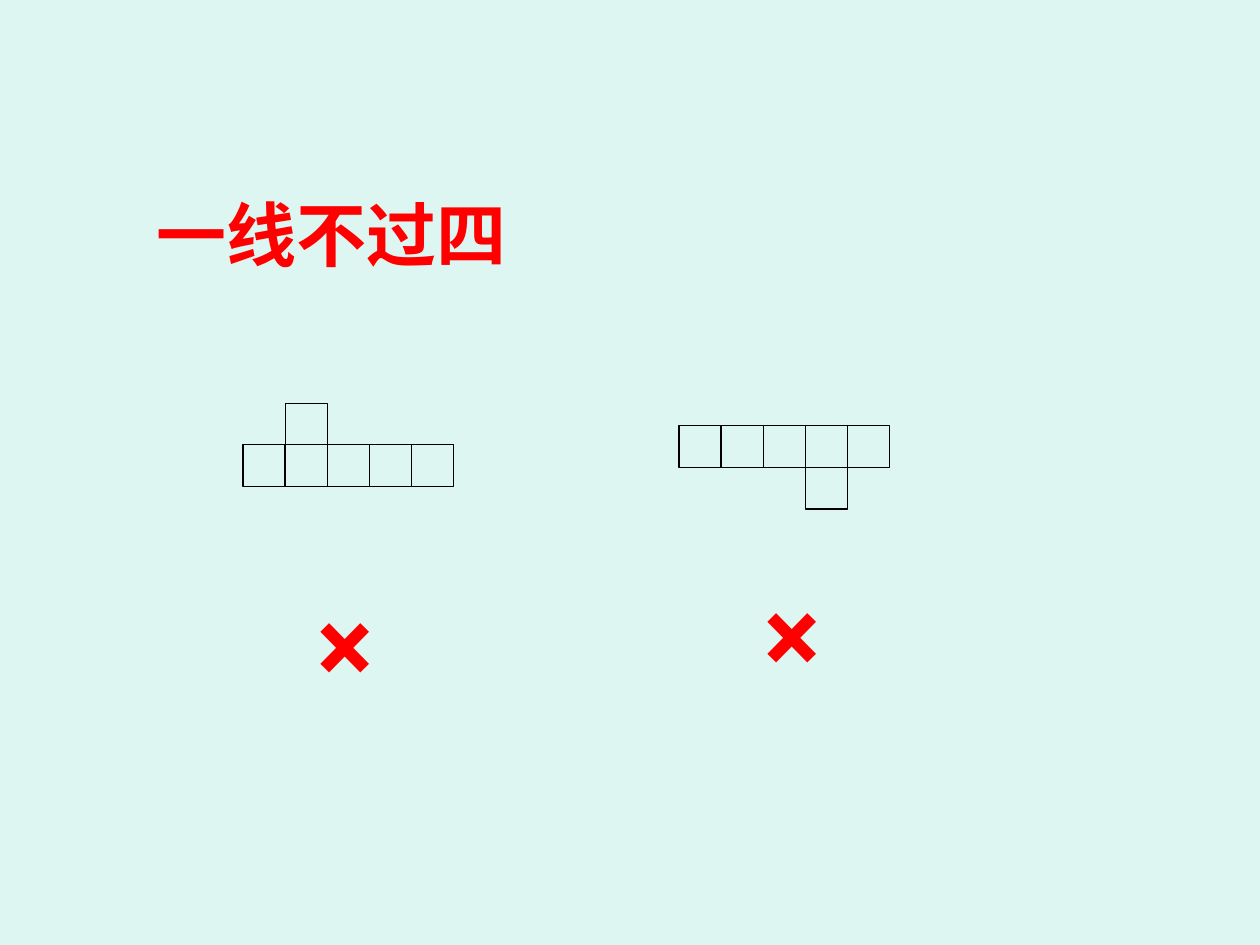
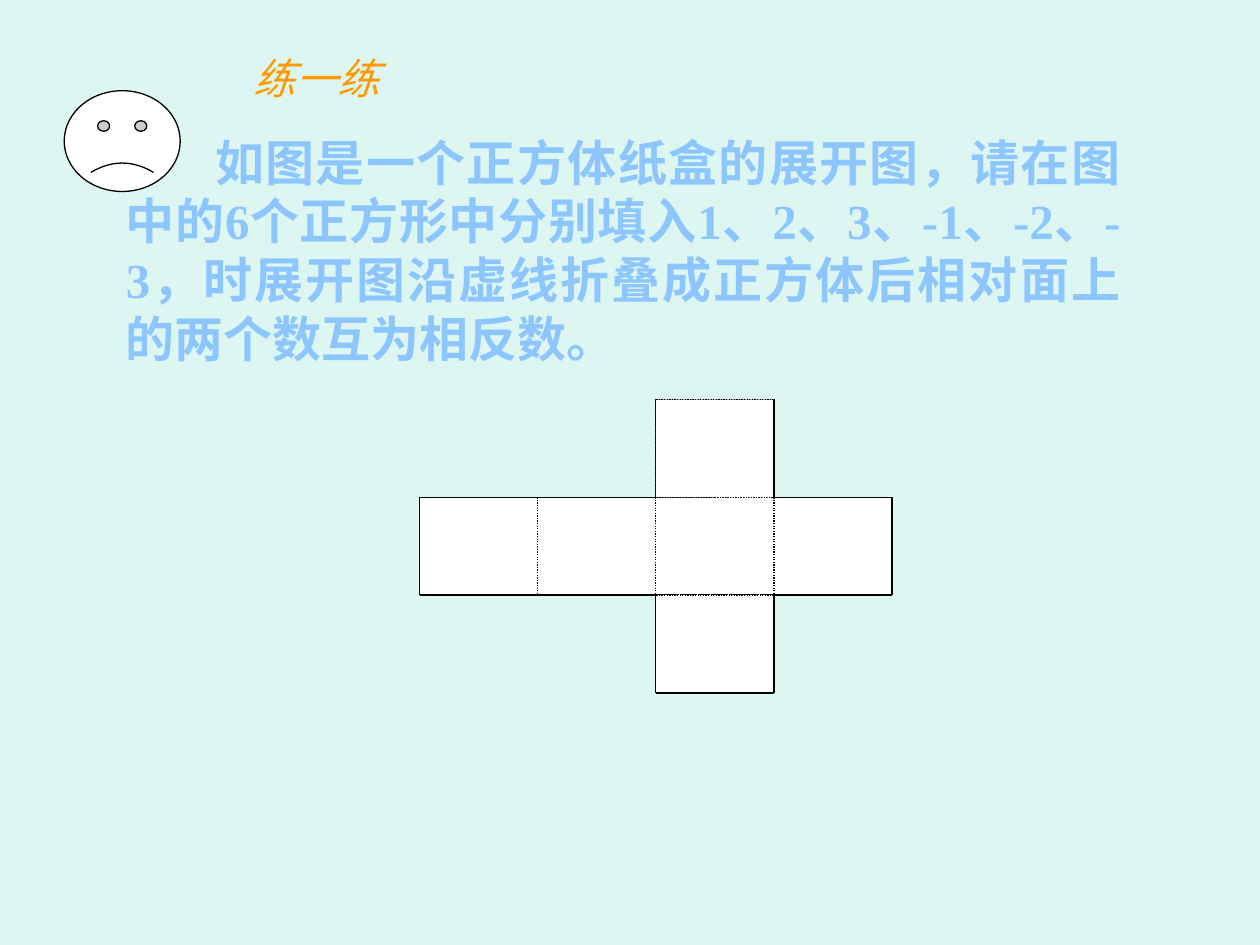
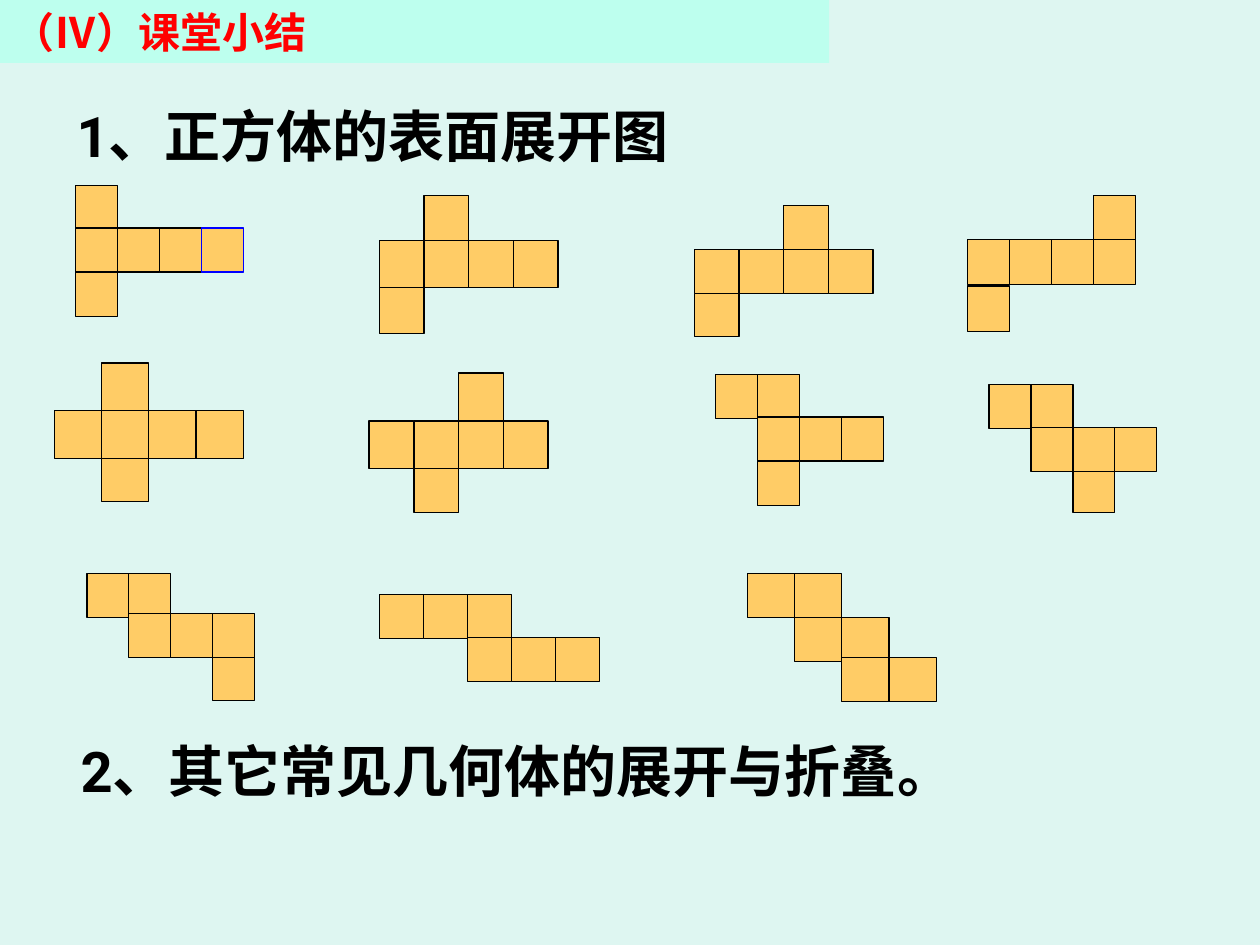
import pptx
import pptx.util
import pptx.dml.color
import pptx.enum.dml
import pptx.enum.shapes
import pptx.enum.text
import pptx.oxml
import pptx.oxml.ns

RGB = pptx.dml.color.RGBColor
KIND = pptx.enum.shapes.MSO_SHAPE
ALIGN = pptx.enum.text.PP_ALIGN
DOT = pptx.enum.dml.MSO_LINE.ROUND_DOT

MINT = RGB(0xDE, 0xF6, 0xF1)
AQUA = RGB(0xBD, 0xFF, 0xEE)
RED = RGB(0xFF, 0x00, 0x00)
ORANGE = RGB(0xFF, 0x99, 0x00)
SKY = RGB(0x8D, 0xC6, 0xFF)
GOLD = RGB(0xFF, 0xCC, 0x66)
BLUE = RGB(0x00, 0x00, 0xFF)
BLACK = RGB(0x00, 0x00, 0x00)
WHITE = RGB(0xFF, 0xFF, 0xFF)

HAN = "Noto Sans CJK SC"
WIDE, HIGH = pptx.util.Inches(10), pptx.util.Inches(7.5)
UNIT = WIDE / 10  # the slide is a grid of 10 columns and 7.5 rows

# left, full width, height of a square, top of each row, rows of squares
# ("b" has a blue edge)
LONG = [
    (1.93, 1.67, 0.33, (3.2, 3.53), ".#... #####"),
    (5.39, 1.67, 0.33, (3.38, 3.71), "##### ...#."),
]
CUBES = [
    (0.6, 1.33, 0.35, (1.47, 1.81, 2.16), "#... ###b #..."),
    (3.01, 1.42, 0.37, (1.55, 1.91, 2.28), ".#.. #### #..."),
    (5.51, 1.42, 0.35, (1.63, 1.98, 2.32), "..#. #### #..."),
    (7.68, 1.33, 0.36, (1.55, 1.9, 2.27), "...# #### #..."),
    (0.43, 1.5, 0.38, (2.88, 3.26, 3.6), ".#.. #### .#.."),
    (2.93, 1.42, 0.38, (2.96, 3.34, 3.69), "..#. #### .#.."),
    (5.68, 1.33, 0.35, (2.97, 3.31, 3.66), "##.. .### .#.."),
    (7.85, 1.33, 0.35, (3.05, 3.39, 3.72), "##.. .### ..#."),
    (0.69, 1.33, 0.35, (4.55, 4.87, 5.21), "##.. .### ...#"),
    (3.01, 1.75, 0.35, (4.72, 5.06), "###.. ..###"),
    (5.93, 1.5, 0.35, (4.55, 4.9, 5.22), "##.. .##. ..##"),
]

# corners of the paper box, counted in faces
UNDER = [(2, 0, 3, 0), (2, 1, 2, 0)]
FACES = [(0, 1, 4, 1), (2, 0, 1, 1), (2, 2, 1, 1)]
FOLDS = [(x, 1, x, 2) for x in (3, 1, 2)]
CUTS = [(0, 1, 2, 1), (0, 1, 0, 2), (0, 2, 2, 2), (3, 1, 4, 1), (4, 1, 4, 2),
        (3, 2, 4, 2), (2, 3, 3, 3), (3, 0, 3, 1), (3, 2, 3, 3), (2, 2, 2, 3)]


def scale(*spots):
    return [round(spot * UNIT) for spot in spots]


def write(shape, words, size=32, color=BLACK, face="Roboto", bold=True,
          slant=False, align=ALIGN.LEFT, wrap=True, indent=0):
    frame = shape.text_frame
    frame.word_wrap = wrap
    frame.auto_size = pptx.enum.text.MSO_AUTO_SIZE.NONE
    frame.vertical_anchor = pptx.enum.text.MSO_ANCHOR.TOP
    para = frame.paragraphs[0]
    para.alignment = align
    para.space_before = pptx.util.Pt(0)
    if indent:
        para._p.get_or_add_pPr().set("indent", str(scale(indent)[0]))
    run = para.add_run()
    run.text = words
    font = run.font
    font.name, font.size = face, pptx.util.Pt(size)
    font.bold, font.italic = bold, slant
    font.color.rgb = color
    east = pptx.oxml.parse_xml(
        f'<a:ea {pptx.oxml.ns.nsdecls("a")} typeface="{HAN}"/>')
    run._r.rPr.find(pptx.oxml.ns.qn("a:latin")).addnext(east)


def head(slide, box, words, **form):
    title = slide.shapes.title
    title.left, title.top, title.width, title.height = scale(*box)
    write(title, words, **form)
    return title


def label(slide, box, words, **form):
    write(slide.shapes.add_textbox(*scale(*box)), words, **form)


def edge(line, color=BLACK, dash=None):
    line.color.rgb = color
    line.width = pptx.util.Pt(0.75)
    if dash:
        line.dash_style = dash


def draw(slide, box, fill, kind=KIND.RECTANGLE, **form):
    shape = slide.shapes.add_shape(kind, *scale(*box))
    shape.shadow.inherit = False
    shape.fill.solid()
    shape.fill.fore_color.rgb = fill
    edge(shape.line, **form)
    return shape


def link(slide, ends, **form):
    line = slide.shapes.add_connector(
        pptx.enum.shapes.MSO_CONNECTOR.STRAIGHT, *scale(*ends))
    edge(line.line, **form)
    line._element.spPr.append(pptx.oxml.parse_xml(
        f'<a:effectLst {pptx.oxml.ns.nsdecls("a")}/>'))


def net(slide, left, width, high, tops, plan, fill):
    """Draw the squares of an unfolded cube, the longest row in front."""
    rows = sorted(zip(plan.split(), tops), key=lambda row: -row[0].count("."))
    for row, top in rows:
        wide = width / len(row)
        for x, cell in enumerate(row):
            if cell != ".":
                draw(slide, (left + x * wide, top, wide, high), fill,
                     color=BLUE if cell == "b" else BLACK)


def carton(slide, left, top, wide, high):
    """Draw the paper box with dotted folds and solid cuts."""
    def ends(x, y, to, low):
        return (left + x * wide, top + y * high,
                left + to * wide, top + low * high)

    for cut in UNDER:
        link(slide, ends(*cut))
    for x, y, cols, rows in FACES:
        box = (left + x * wide, top + y * high, cols * wide, rows * high)
        draw(slide, box, WHITE, dash=DOT)
    for fold in FOLDS:
        link(slide, ends(*fold), dash=DOT)
    for cut in CUTS:
        link(slide, ends(*cut))


def rule(slide):
    head(slide, (1.03, 1.47, 3.2, 0.77), "一线不过四", size=40, color=RED,
         align=ALIGN.CENTER, wrap=False)
    for shape in LONG:
        net(slide, *shape, MINT)
    for left, top in ((2.42, 4.54), (5.97, 4.46)):
        label(slide, (left, top, 0.67, 1.1), "×", size=60, color=RED,
              wrap=False)


def drill(slide):
    carton(slide, 3.33, 3.17, 3.75 / 4, 2.33 / 3)
    label(slide, (0.9, 1, 8.09, 1.97),
          "如图是一个正方体纸盒的展开图，请在图中的6个正方形中分别填入"
          "1、2、3、-1、-2、-3，时展开图沿虚线折叠成正方体后"
          "相对面上的两个数互为相反数。",
          size=28, color=SKY, face="Times New Roman", align=ALIGN.JUSTIFY,
          indent=0.71)
    sad = draw(slide, (0.51, 0.72, 0.92, 0.8), WHITE, KIND.SMILEY_FACE)
    sad.adjustments[0] = -0.05
    head(slide, (1.51, 0.37, 2, 0.54), "练一练", size=24, color=ORANGE,
         face=HAN, bold=False, slant=True, align=ALIGN.CENTER, wrap=False)


def recap(slide):
    band = head(slide, (0, 0, 6.58, 0.5), "（Ⅳ）课堂小结", size=24, color=RED)
    band.fill.solid()
    band.fill.fore_color.rgb = AQUA
    label(slide, (0.51, 0.76, 9, 0.64), "1、正方体的表面展开图")
    for shape in CUBES:
        net(slide, *shape, GOLD)
    label(slide, (0.49, 5.8, 7.23, 0.64), "2、其它常见几何体的展开与折叠。",
          align=ALIGN.CENTER, wrap=False)


def main():
    deck = pptx.Presentation()
    deck.slide_width, deck.slide_height = WIDE, HIGH
    back = deck.slide_master.background.fill
    back.solid()
    back.fore_color.rgb = MINT
    plain = deck.slide_layouts.get_by_name("Title Only")
    for fill in (rule, drill, recap):
        fill(deck.slides.add_slide(plain))
    deck.save("out.pptx")


if __name__ == "__main__":
    main()
